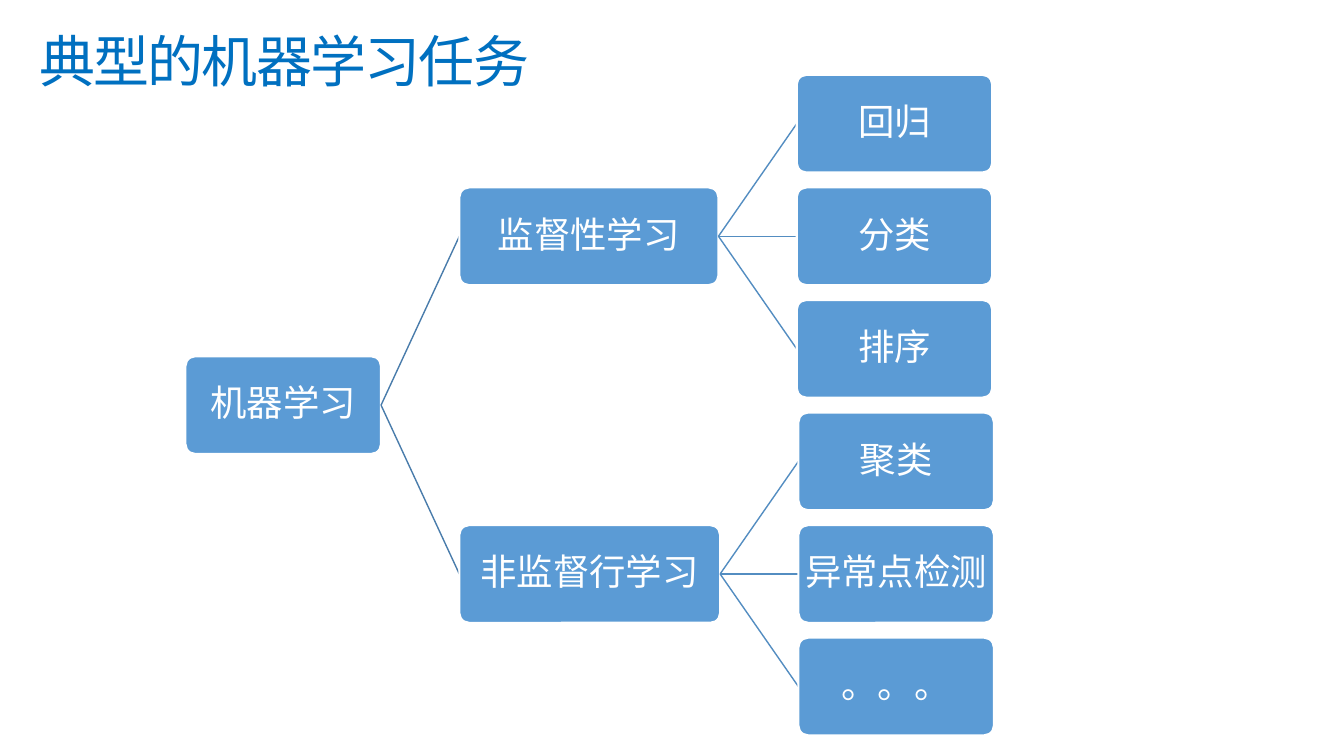
from lxml.etree import SubElement
from pptx import Presentation
from pptx.dml.color import RGBColor
from pptx.enum.shapes import MSO_CONNECTOR, MSO_SHAPE
from pptx.enum.text import MSO_ANCHOR, MSO_AUTO_SIZE, PP_ALIGN
from pptx.oxml.ns import qn
from pptx.util import Pt

WHITE, TITLE_BLUE, BOX_BLUE = "FFFFFF", "0070C0", "5B9BD5"
ROOT_LINE, BRANCH_LINE = "497CAB", "538DC1"
BOX_WIDTH, BOX_HEIGHT, ROW_PITCH, COLUMN_GAP = 139.7, 69.8, 80.4, 55.9
FIRST_TOP, ROOT_LEFT = 53.5, 132.5
BRANCHES = [
    ("监督性学习", 185.1, ["回归", "分类", "排序"]),
    ("非监督行学习", 186.3, ["聚类", "异常点检测", "。。。"]),
]


def color(value):
    return RGBColor.from_string(value)


def assign(target, values):
    for name, value in values.items():
        setattr(target, name, value)


class TreeSlide:
    """Holds the slide and its style, and draws the title, nodes and links."""

    def __init__(self, page, font_name):
        self.page = page
        self.font_name = font_name

    def add_text(self, frame, text, size, text_color):
        para = frame.paragraphs[0]
        span = para.add_run()
        span.text = text
        assign(span.font, {"name": self.font_name, "size": Pt(size)})
        span.font.color.rgb = color(text_color)
        return para, span

    def title(self, text, left, top, width, height):
        box = self.page.shapes.add_textbox(Pt(left), Pt(top), Pt(width), Pt(height))
        assign(box.text_frame, {"word_wrap": False, "auto_size": MSO_AUTO_SIZE.SHAPE_TO_FIT_TEXT})
        para, span = self.add_text(box.text_frame, text, 40, TITLE_BLUE)
        span.font._element.set("spc", "-120")

    def node(self, text, left, row, width=BOX_WIDTH):
        top = FIRST_TOP + row * ROW_PITCH
        box = self.page.shapes.add_shape(
            MSO_SHAPE.ROUNDED_RECTANGLE, Pt(left), Pt(top), Pt(width), Pt(BOX_HEIGHT))
        box.adjustments[0] = 0.1
        box.shadow.inherit = False
        box.fill.solid()
        box.fill.fore_color.rgb = color(BOX_BLUE)
        box.line.color.rgb = color(WHITE)
        box.line.width = Pt(1.5)
        sides = ("left", "right", "top", "bottom")
        assign(box.text_frame, {f"margin_{side}": Pt(2.5) for side in sides})
        assign(box.text_frame, {"word_wrap": True, "vertical_anchor": MSO_ANCHOR.MIDDLE})
        para, span = self.add_text(box.text_frame, text, 26, WHITE)
        assign(para, {"alignment": PP_ALIGN.CENTER, "line_spacing": 0.9})

    def link(self, left, from_row, to_row, line_color):
        start, end = (FIRST_TOP + row * ROW_PITCH + BOX_HEIGHT / 2 for row in (from_row, to_row))
        line = self.page.shapes.add_connector(
            MSO_CONNECTOR.STRAIGHT, Pt(left), Pt(start), Pt(left + COLUMN_GAP), Pt(end))
        line.line.color.rgb = color(line_color)
        line.line.width = Pt(1)
        SubElement(line._element.spPr, qn("a:effectLst"))


def main():
    deck = Presentation()
    assign(deck, {"slide_width": Pt(960), "slide_height": Pt(540)})
    tree = TreeSlide(deck.slides.add_slide(deck.slide_layouts[6]), "Calibri")
    tree.title("典型的机器学习任务", 20.9, 15.1, 367.2, 55.4)

    root_row = 2.5
    root_right = ROOT_LEFT + BOX_WIDTH
    branch_left = root_right + COLUMN_GAP
    tree.node("机器学习", ROOT_LEFT, root_row)
    first_row = 0
    for name, width, tasks in BRANCHES:
        branch_row = first_row + (len(tasks) - 1) / 2
        branch_right = branch_left + width
        tree.link(root_right, root_row, branch_row, ROOT_LINE)
        tree.node(name, branch_left, branch_row, width)
        for row, task in enumerate(tasks, first_row):
            tree.link(branch_right, branch_row, row, BRANCH_LINE)
            tree.node(task, branch_right + COLUMN_GAP, row)
        first_row += len(tasks)
    deck.save("out.pptx")


if __name__ == "__main__":
    main()
